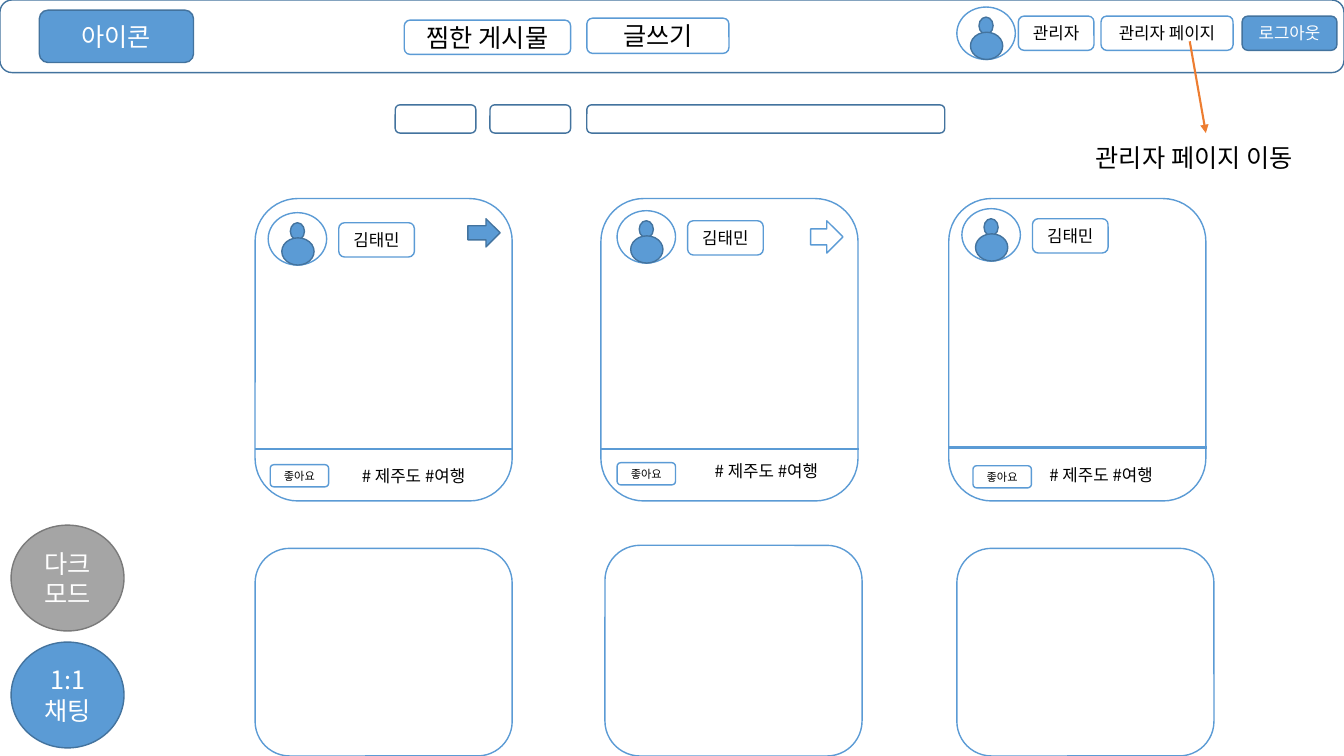
"""Build the post-board wireframe slide with its administrator header."""
from dataclasses import dataclass

import pptx
import pptx.dml.color
import pptx.enum.shapes
import pptx.enum.text
import pptx.oxml.ns
import pptx.util
from lxml import etree

GRID_COLUMNS, GRID_ROWS = 1333, 750
SHAPES = pptx.enum.shapes.MSO_SHAPE


@dataclass(frozen=True)
class Theme:
    font: str = "Noto Sans CJK KR"
    blue: str = "5B9BD5"
    navy: str = "43739E"
    white: str = "FFFFFF"
    black: str = "000000"
    gray: str = "A5A5A5"
    dark_gray: str = "7A7A7A"
    orange: str = "ED7D31"
    large: int = 18
    medium: int = 12
    small: int = 8
    outline: float = 1
    stroke: float = 1.5


THEME = Theme()
SOLID = {"fill": THEME.blue, "line": THEME.navy, "color": THEME.white}

HEADER = (0, 0, 1333, 72)
HEADER_BUTTONS = [
    ("아이콘", (39, 10, 153, 52), {**SOLID, "size": THEME.large}),
    ("찜한 게시물", (401, 20, 165, 34), {"size": THEME.large}),
    ("글쓰기", (582, 18, 141, 35), {"size": THEME.large}),
    ("관리자", (1010, 16, 75, 34), {}),
    ("관리자 페이지", (1092, 16, 131, 34), {}),
    ("로그아웃", (1232, 16, 94, 34), SOLID),
]
HEADER_AVATAR = (949, 7)
SEARCH_TOP, SEARCH_HEIGHT = 104, 28
SEARCH_FIELDS = [(392, 80), (486, 80), (582, 355)]

AUTHOR, LIKE, TAGS = "김태민", "좋아요", "# 제주도 #여행"
CARD_TOP, CARD_WIDTH, CARD_HEIGHT = 197, 255, 300
POSTS = [
    {"left": 253, "rule": 445, "avatar": (266, 211), "like": (268, 461), "tags": (349, 457)},
    {"left": 596, "rule": 445, "avatar": (612, 209), "like": (612, 459), "tags": (699, 452)},
    {"left": 941, "rule": 444, "avatar": (954, 207), "like": (965, 462), "tags": (1031, 456)},
]
POST_ARROWS = [
    ((464, 217, 32, 28), {"fill": THEME.blue, "line": THEME.navy}),
    ((804, 219, 32, 32), {}),
]
EMPTY_CARDS = [(253, 544), (600, 541), (949, 544)]
ROUND_BUTTONS = [
    ("다크모드", 521, {"fill": THEME.gray, "line": THEME.dark_gray}),
    ("1:1 채팅", 637, {"fill": THEME.blue, "line": THEME.navy}),
]
NOTE, NOTE_BOX = "관리자 페이지 이동", (1077, 136, 240, 40)
NOTE_ARROW = ((1180, 41), (1196, 132))

presentation = pptx.Presentation()
presentation.slide_width = pptx.util.Inches(13.33)
presentation.slide_height = pptx.util.Inches(7.5)
slide = presentation.slides.add_slide(presentation.slide_layouts[6])


def place(*lengths):
    """Turn alternating grid columns and rows into slide lengths."""
    units = (presentation.slide_width / GRID_COLUMNS, presentation.slide_height / GRID_ROWS)
    return [round(length * units[index % 2]) for index, length in enumerate(lengths)]


def rgb(color):
    """Return the colour object for a hex value."""
    return pptx.dml.color.RGBColor.from_string(color)


def write(shape, text, size=THEME.medium, color=THEME.black, centered=True, wrap=True):
    """Put formatted text in a shape."""
    frame = shape.text_frame
    frame.word_wrap = wrap
    if centered:
        frame.vertical_anchor = pptx.enum.text.MSO_ANCHOR.MIDDLE
    else:
        frame.auto_size = pptx.enum.text.MSO_AUTO_SIZE.SHAPE_TO_FIT_TEXT
    paragraph = frame.paragraphs[0]
    alignment = pptx.enum.text.PP_ALIGN
    paragraph.alignment = alignment.CENTER if centered else alignment.LEFT
    run = paragraph.add_run()
    run.text = text
    run.font.name = THEME.font
    run.font.size = pptx.util.Pt(size)
    run.font.color.rgb = rgb(color)
    east_asian = etree.SubElement(run.font._element, pptx.oxml.ns.qn("a:ea"))
    east_asian.set("typeface", THEME.font)


def draw(kind, box, fill=THEME.white, line=THEME.blue, text="", **text_format):
    """Add a filled and outlined shape, with text if given."""
    shape = slide.shapes.add_shape(kind, *place(*box))
    shape.shadow.inherit = False
    shape.fill.solid()
    shape.fill.fore_color.rgb = rgb(fill)
    shape.line.color.rgb = rgb(line)
    shape.line.width = pptx.util.Pt(THEME.outline)
    if text:
        write(shape, text, **text_format)


def label(text, box, **text_format):
    """Add an unwrapped text box."""
    write(slide.shapes.add_textbox(*place(*box)), text, centered=False, wrap=False, **text_format)


def connect(start, end, color=THEME.blue, arrow=False):
    """Add a straight line, with an arrowhead if wanted."""
    connector = slide.shapes.add_connector(
        pptx.enum.shapes.MSO_CONNECTOR.STRAIGHT, *place(*start, *end))
    connector.line.color.rgb = rgb(color)
    connector.line.width = pptx.util.Pt(THEME.stroke)
    if arrow:
        outline = connector.line._get_or_add_ln()
        etree.SubElement(outline, pptx.oxml.ns.qn("a:tailEnd")).set("type", "triangle")
    etree.SubElement(connector._element.spPr, pptx.oxml.ns.qn("a:effectLst"))


def draw_avatar(left, top):
    """Draw a framed head and body."""
    draw(SHAPES.OVAL, (left, top, 58, 52))
    for box in [(left + 22, top + 10, 14, 17), (left + 13.5, top + 25, 32, 27)]:
        draw(SHAPES.OVAL, box, fill=THEME.blue, line=THEME.navy)


def draw_post(left, rule, avatar, like, tags):
    """Draw a card with its author, divider, like button and tags."""
    draw(SHAPES.ROUNDED_RECTANGLE, (left, CARD_TOP, CARD_WIDTH, CARD_HEIGHT))
    connect((left, rule), (left + CARD_WIDTH + 1, rule))
    draw_avatar(*avatar)
    draw(SHAPES.ROUNDED_RECTANGLE, (avatar[0] + 70, avatar[1] + 10, 75, 34), text=AUTHOR)
    draw(SHAPES.ROUNDED_RECTANGLE, (*like, 58, 22), text=LIKE, size=THEME.small)
    label(TAGS, (*tags, 137, 30))


def main():
    """Draw every part and save the file."""
    draw(SHAPES.ROUNDED_RECTANGLE, HEADER, line=THEME.navy)
    for text, box, style in HEADER_BUTTONS:
        draw(SHAPES.ROUNDED_RECTANGLE, box, text=text, **style)
    draw_avatar(*HEADER_AVATAR)
    for left, width in SEARCH_FIELDS:
        draw(SHAPES.ROUNDED_RECTANGLE, (left, SEARCH_TOP, width, SEARCH_HEIGHT), line=THEME.navy)
    for post in POSTS:
        draw_post(**post)
    for box, style in POST_ARROWS:
        draw(SHAPES.RIGHT_ARROW, box, **style)
    for left, top in EMPTY_CARDS:
        draw(SHAPES.ROUNDED_RECTANGLE, (left, top, CARD_WIDTH, GRID_ROWS - top))
    for text, top, style in ROUND_BUTTONS:
        draw(SHAPES.OVAL, (11, top, 112, 105), text=text, size=THEME.large,
             color=THEME.white, **style)
    connect(*NOTE_ARROW, color=THEME.orange, arrow=True)
    label(NOTE, NOTE_BOX, size=THEME.large)
    presentation.save("out.pptx")


if __name__ == "__main__":
    main()
